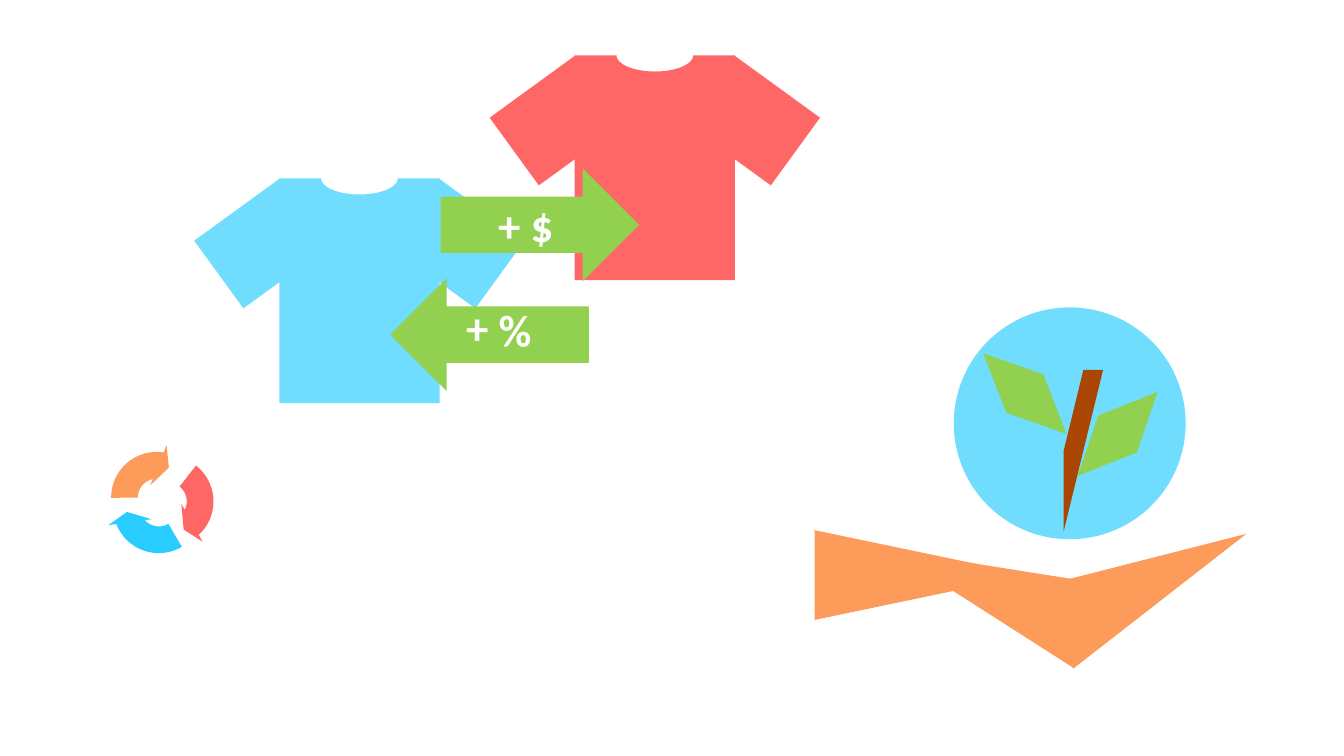
from dataclasses import dataclass
from math import cos, pi, sin

from pptx import Presentation
from pptx.dml.color import RGBColor
from pptx.enum.shapes import MSO_SHAPE
from pptx.enum.text import MSO_ANCHOR, PP_ALIGN
from pptx.util import Inches, Pt

BLUE = RGBColor(0x70, 0xDD, 0xFE)
DEEP = RGBColor(0x28, 0xCC, 0xFE)
RED = RGBColor(0xFF, 0x66, 0x66)
GREEN = RGBColor(0x92, 0xD0, 0x50)
SKIN = RGBColor(0xFC, 0x9B, 0x5A)
BROWN = RGBColor(0xAA, 0x46, 0x03)
WHITE = RGBColor(0xFF, 0xFF, 0xFF)


@dataclass
class Part:
    kind: MSO_SHAPE
    left: float
    top: float
    width: float
    height: float
    color: RGBColor
    turn: float = 0
    text: str = ""
    tweaks: tuple[float, ...] = ()


@dataclass
class Shirt:
    left: float
    top: float
    color: RGBColor


def paint(shape, color: RGBColor) -> None:
    shape.shadow.inherit = False
    shape.fill.solid()
    shape.fill.fore_color.rgb = color
    shape.line.fill.background()


def draw_part(shapes, part: Part) -> None:
    shape = shapes.add_shape(part.kind, Inches(part.left), Inches(part.top),
                             Inches(part.width), Inches(part.height))
    shape.rotation = part.turn
    for index, value in enumerate(part.tweaks):
        shape.adjustments[index] = value
    paint(shape, part.color)
    if part.text:
        frame = shape.text_frame
        frame.text = part.text
        frame.vertical_anchor = MSO_ANCHOR.MIDDLE
        line = frame.paragraphs[0]
        line.alignment = PP_ALIGN.CENTER
        font = line.runs[0].font
        font.name, font.size, font.bold = "Calibri", Pt(32), True
        font.color.rgb = WHITE


def draw_shirt(shapes, shirt: Shirt) -> None:
    group = shapes.add_group_shape().shapes
    wide, tall, steps = 1.59, 2.23, 32
    # Body with a half oval cut out for the neck
    neck = [(wide / 2 - 0.38 * cos(pi * i / steps), 0.16 * sin(pi * i / steps))
            for i in range(steps + 1)]
    points = [(Inches(shirt.left + x), Inches(shirt.top + y))
              for x, y in neck + [(wide, 0), (wide, tall), (0, tall)]]
    body = group.build_freeform(Inches(shirt.left), Inches(shirt.top))
    body.add_line_segments(points, close=True)
    paint(body.convert_to_shape(), shirt.color)
    # Sleeves
    for shift, turn in ((1.35, 306), (-0.59, 54)):
        draw_part(group, Part(MSO_SHAPE.RECTANGLE, shirt.left + shift,
                              shirt.top + 0.12, 0.83, 1.05, shirt.color, turn))


SHIRTS = [Shirt(2.77, 1.77, BLUE), Shirt(5.7, 0.55, RED)]

ARROWS = [
    Part(MSO_SHAPE.RIGHT_ARROW, 4.37, 1.67, 1.97, 1.12, GREEN, text="+ $"),
    Part(MSO_SHAPE.RIGHT_ARROW, 3.87, 2.76, 1.97, 1.12, GREEN, 180, " % +"),
]

HAND = [
    Part(MSO_SHAPE.ISOSCELES_TRIANGLE, left, top, 0.89, 2.13, SKIN, turn)
    for left, top, turn in ((10.96, 4.7, 63.9), (9.37, 4.77, 290.8), (8.7, 4.64, 90))
]

PLANT = [
    Part(MSO_SHAPE.OVAL, 9.46, 3.05, 2.3, 2.3, BLUE),
    Part(MSO_SHAPE.DIAMOND, 10.82, 3.73, 0.53, 1.15, GREEN, 43.5),
    Part(MSO_SHAPE.DIAGONAL_STRIPE, 10.55, 3.67, 0.39, 1.6, BROWN),
    Part(MSO_SHAPE.DIAMOND, 9.9, 3.33, 0.53, 1.15, GREEN, 314.1),
]

BEND = (0.247, 11.423, 204.577, 148.475, 0.201)
CYCLE = [
    Part(MSO_SHAPE.CIRCULAR_ARROW, left, top, 1.07, 1.07, color, turn, tweaks=BEND)
    for left, top, color, turn in ((1.04, 4.5, DEEP, 172.2), (1.02, 4.4, SKIN, 292.1),
                                   (1.13, 4.44, RED, 60.7))
]


def main() -> None:
    deck = Presentation()
    deck.slide_width, deck.slide_height = Inches(13.33), Inches(7.5)
    shapes = deck.slides.add_slide(deck.slide_layouts[6]).shapes

    # Shirts and the swap between them
    for shirt in SHIRTS:
        draw_shirt(shapes, shirt)
    for arrow in ARROWS:
        draw_part(shapes, arrow)

    # Hand that holds the plant
    palm = shapes.add_group_shape().shapes
    for piece in HAND:
        draw_part(palm, piece)

    # Plant and cycle
    for part in PLANT + CYCLE:
        draw_part(shapes, part)

    deck.save("out.pptx")


if __name__ == "__main__":
    main()
